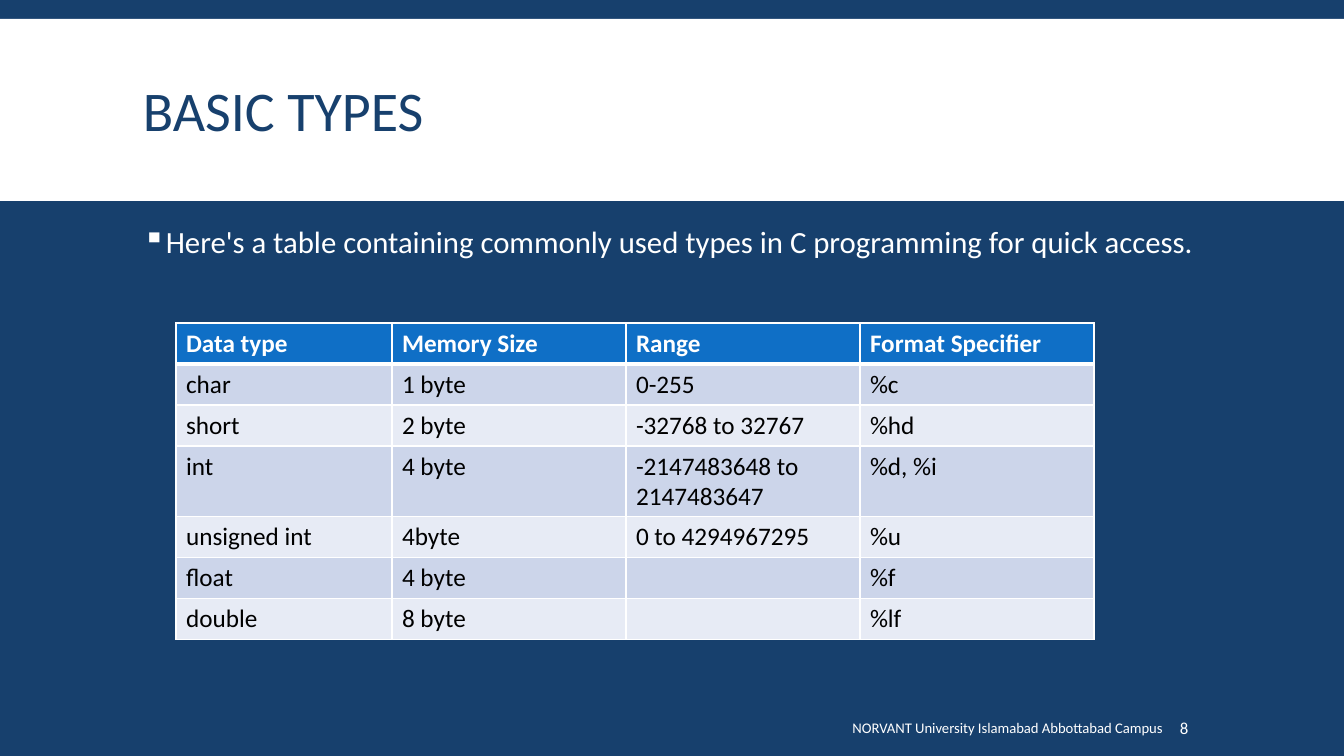
from lxml.etree import SubElement, fromstring
from pptx import Presentation
from pptx.dml.color import RGBColor
from pptx.enum.shapes import MSO_SHAPE
from pptx.enum.text import MSO_ANCHOR, PP_ALIGN
from pptx.oxml.ns import qn
from pptx.util import Pt

EMU = 12192000 / 1344  # one px
FONT = "Calibri"
HUES = {
    "navy": "17406D",
    "white": "FFFFFF",
    "black": "000000",
    "head": "0F6FC6",
    "odd": "CCD5EA",
    "even": "E7EBF5",
}
NS = "http://schemas.openxmlformats.org/drawingml/2006/main"
TYPES = [
    ["Data type", "Memory Size", "Range", "Format Specifier"],
    ["char", "1 byte", "0-255", "%c"],
    ["short", "2 byte", "-32768 to 32767", "%hd"],
    ["int", "4 byte", "-2147483648 to 2147483647", "%d, %i"],
    ["unsigned int", "4byte", "0 to 4294967295", "%u"],
    ["float", "4 byte", "", "%f"],
    ["double", "8 byte", "", "%lf"],
]
COLS = [216, 234, 234, 234]
ROW = 41


def px(n):
    return round(n * EMU)


def rgb(name):
    return RGBColor.from_string(HUES[name])


def paint(fill, name):
    fill.solid()
    fill.fore_color.rgb = rgb(name)


def put(target, values):
    for key, value in values.items():
        setattr(target, key, value)


def write(para, text, size, hue, bold=False):
    run = para.add_run()
    run.text = text
    put(run.font, {"name": FONT, "size": Pt(size), "bold": bold})
    run.font.color.rgb = rgb(hue)


def label(slide, box, text, size, hue="white", frame=None, form=None):
    shape = slide.shapes.add_textbox(*map(px, box))
    body = shape.text_frame
    put(body, {"word_wrap": True, "vertical_anchor": MSO_ANCHOR.MIDDLE,
               **(frame or {})})
    para = body.paragraphs[0]
    put(para, form or {})
    write(para, text, size, hue)
    return para


def bullet(para, mark, indent):
    props = para._p.get_or_add_pPr()
    props.set("marL", str(px(indent)))
    props.set("indent", str(-px(indent)))
    tint = SubElement(props, qn("a:buClr"))
    SubElement(tint, qn("a:srgbClr"), val=HUES["white"])
    SubElement(props, qn("a:buChar"), char=mark)


def edge(cell, sides):
    props = cell._tc.get_or_add_tcPr()
    for spot, (side, width) in enumerate(sides.items()):
        props.insert(spot, fromstring(
            f'<a:ln{side} xmlns:a="{NS}" w="{Pt(width)}"><a:solidFill>'
            f'<a:srgbClr val="{HUES["white"]}"/></a:solidFill></a:ln{side}>'))


def grid(slide, left, top, rows):
    frame = slide.shapes.add_table(
        len(rows), len(COLS), px(left), px(top),
        px(sum(COLS)), px(ROW * len(rows)))
    table = frame.table
    for col, width in zip(table.columns, COLS):
        col.width = px(width)
    for r, row in enumerate(rows):
        table.rows[r].height = px(ROW)
        back = "head" if r == 0 else "odd" if r % 2 else "even"
        sides = {"L": 1, "R": 1, "T": 3 if r == 1 else 1,
                 "B": 3 if r == 0 else 1}
        for c, text in enumerate(row):
            cell = table.cell(r, c)
            paint(cell.fill, back)
            edge(cell, sides)
            if text:
                write(cell.text_frame.paragraphs[0], text, 18,
                      "black" if r else "white", r == 0)


def band(slide, box, hue):
    shape = slide.shapes.add_shape(MSO_SHAPE.RECTANGLE, *map(px, box))
    shape.shadow.inherit = False
    paint(shape.fill, hue)
    shape.line.fill.background()


def main():
    deck = Presentation()
    put(deck, {"slide_width": px(1344), "slide_height": px(756)})
    slide = deck.slides.add_slide(deck.slide_layouts[6])
    paint(slide.background.fill, "navy")

    # Title band
    band(slide, (0, 19, 1344, 182), "white")
    label(slide, (133, 31, 1079, 166), "BASIC TYPES", 40, "navy",
          form={"line_spacing": 0.85})

    # Lead sentence
    lead = label(
        slide, (133, 222, 1079, 464),
        "Here's a table containing commonly used types in C programming "
        "for quick access.", 22,
        frame={"vertical_anchor": MSO_ANCHOR.TOP},
        form={"line_spacing": 0.9, "space_before": Pt(12),
              "space_after": Pt(2)})
    bullet(lead, "▪", 20)

    # Table of types
    grid(slide, 176, 323, TYPES)

    # Footer and page number
    label(slide, (617, 708, 556, 40),
          "NORVANT University Islamabad Abbottabad Campus", 10.5,
          form={"alignment": PP_ALIGN.RIGHT})
    label(slide, (1175, 708, 104, 40), "8", 12,
          frame={"margin_left": px(5)})

    deck.save("out.pptx")


if __name__ == "__main__":
    main()
